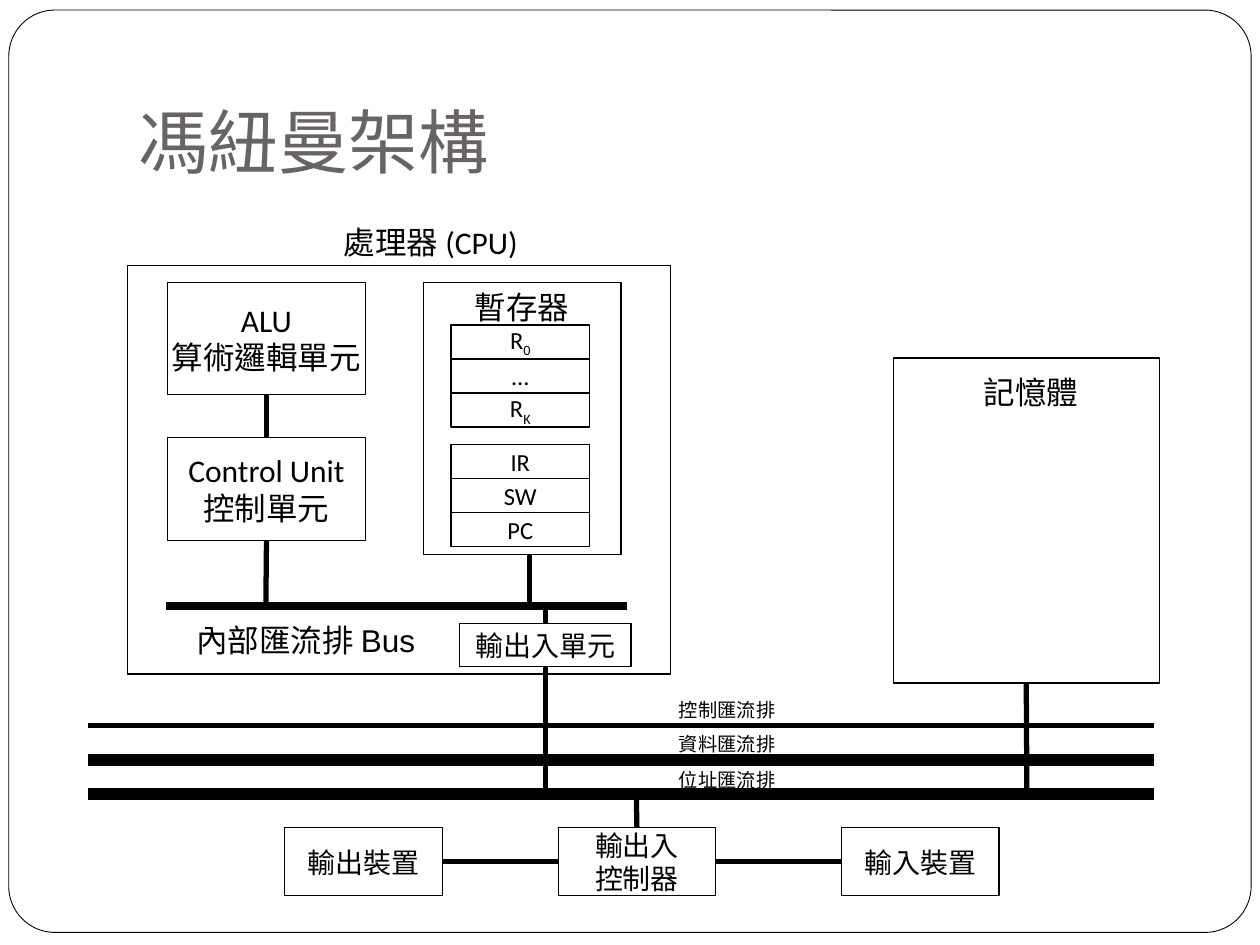
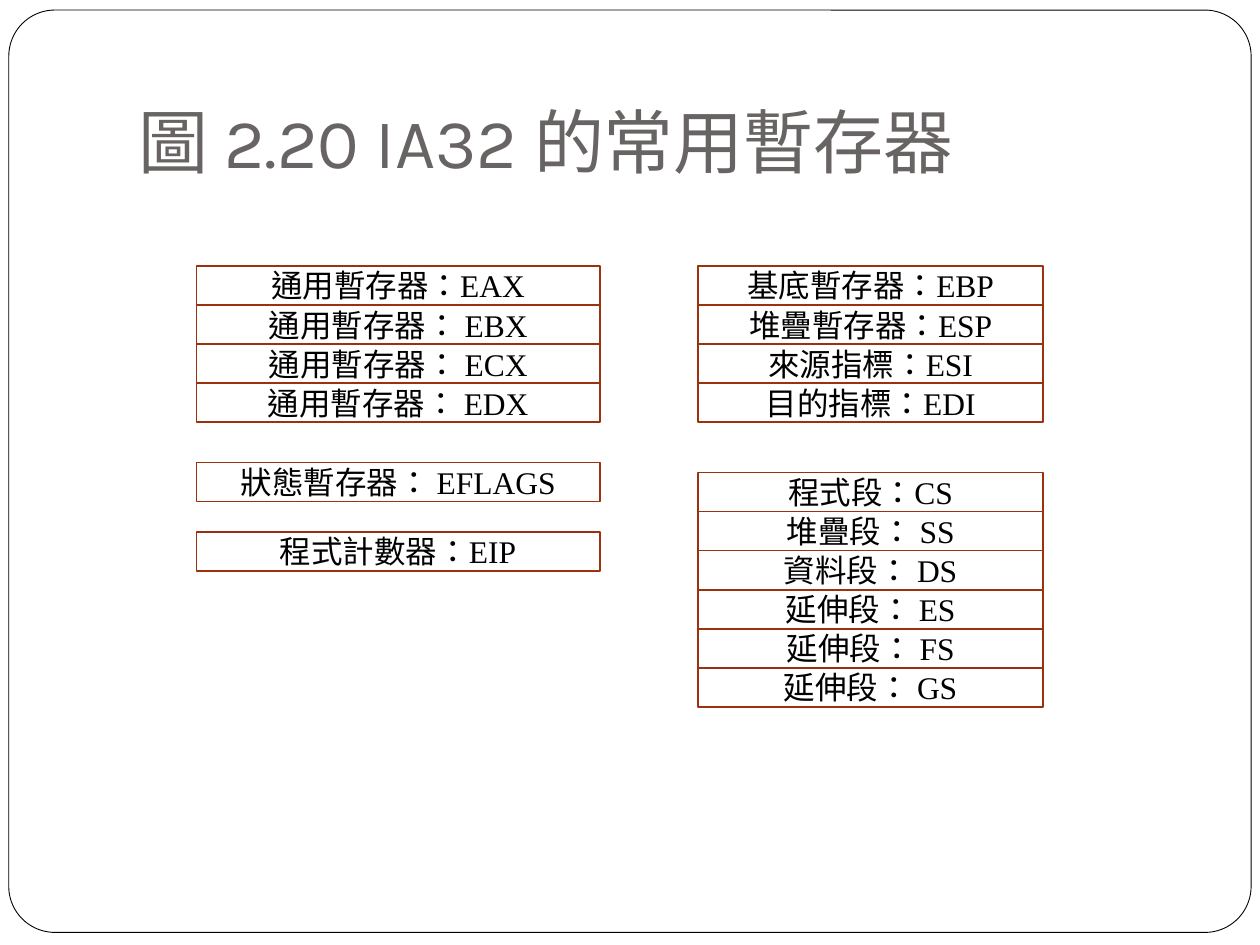
from lxml.etree import SubElement
from pptx import Presentation
from pptx.dml.color import RGBColor
from pptx.enum.shapes import MSO_CONNECTOR, MSO_SHAPE
from pptx.enum.text import MSO_ANCHOR, MSO_AUTO_SIZE, PP_ALIGN
from pptx.oxml.ns import qn
from pptx.util import Inches, Pt

BLACK = "000000"
TITLE_GRAY = "696464"
RUST = "9B320E"
TOP, LEFT, BOTTOM, RIGHT = range(4)


def color(hex_string):
    return RGBColor.from_string(hex_string)


def write_text(frame, text, size=18, font="Calibri", fill=BLACK,
               align=PP_ALIGN.LEFT, anchor=MSO_ANCHOR.TOP, wrap=False,
               auto_size=MSO_AUTO_SIZE.NONE, bottom=0.05):
    """Write one paragraph a line; what follows an underscore is a subscript."""
    frame.word_wrap = wrap
    frame.auto_size = auto_size
    frame.vertical_anchor = anchor
    frame.margin_left = frame.margin_right = Inches(0.1)
    frame.margin_top, frame.margin_bottom = Inches(0.05), Inches(bottom)
    for number, line in enumerate(text.split("\n")):
        paragraph = frame.add_paragraph() if number else frame.paragraphs[0]
        paragraph.alignment = align
        for level, part in enumerate(line.split("_")):
            run = paragraph.add_run()
            run.text = part
            run.font.size = Pt(size)
            run.font.name = font
            run.font.color.rgb = color(fill)
            properties = run._r.get_or_add_rPr()
            properties.set("lang", "zh-TW")
            if level:
                properties.set("baseline", "-25000")


class Deck:
    def __init__(self):
        self.presentation = Presentation()
        self.presentation.slide_width = Inches(10)
        self.presentation.slide_height = Inches(7.5)
        self.slide = None

    def add_slide(self, title):
        layout = self.presentation.slide_layouts[5]
        self.slide = self.presentation.slides.add_slide(layout)
        # Rounded page frame
        frame = self.box(0.07, 0.08, 9.86, 7.32, line_width=0.5,
                         kind=MSO_SHAPE.ROUNDED_RECTANGLE)
        frame.adjustments[0] = 0.05
        # Title
        placeholder = self.slide.shapes.title
        placeholder.left, placeholder.top = Inches(1), Inches(0.3)
        placeholder.width, placeholder.height = Inches(8.5), Inches(1.25)
        write_text(placeholder.text_frame, title, size=40, font="Karla",
                   fill=TITLE_GRAY, anchor=MSO_ANCHOR.BOTTOM, wrap=True, bottom=0.1)

    def box(self, left, top, width, height, text="", line_color=BLACK,
            line_width=0.75, kind=MSO_SHAPE.RECTANGLE,
            anchor=MSO_ANCHOR.MIDDLE, **text_format):
        shape = self.slide.shapes.add_shape(
            kind, Inches(left), Inches(top), Inches(width), Inches(height))
        shape.shadow.inherit = False
        shape.fill.background()
        shape.line.color.rgb = color(line_color)
        shape.line.width = Pt(line_width)
        if text:
            write_text(shape.text_frame, text, align=PP_ALIGN.CENTER,
                       anchor=anchor, **text_format)
        return shape

    def stack(self, left, top, width, height, labels, **box_format):
        for row, label in enumerate(labels):
            self.box(left, top + row * height, width, height, label, **box_format)

    def label(self, left, top, width, height, text, **text_format):
        shape = self.slide.shapes.add_textbox(
            Inches(left), Inches(top), Inches(width), Inches(height))
        write_text(shape.text_frame, text, **text_format)

    def line(self, x1, y1, x2, y2, width=3, begin=None, end=None):
        """Draw a line; begin and end are (shape, side) pairs to join."""
        connector = self.slide.shapes.add_connector(
            MSO_CONNECTOR.STRAIGHT, Inches(x1), Inches(y1), Inches(x2), Inches(y2))
        connector.line.color.rgb = color(BLACK)
        connector.line.width = Pt(width)
        SubElement(connector._element.spPr, qn("a:effectLst"))
        if begin:
            connector.begin_connect(*begin)
        if end:
            connector.end_connect(*end)


def build_architecture(deck):
    deck.add_slide("馮紐曼架構")

    # Memory
    memory = deck.box(7.09, 2.84, 2.11, 2.58)
    deck.label(7.71, 2.91, 1, 0.4, "記憶體")

    # System buses
    for y, width, label_top, name in [(5.76, 3, 5.49, "控制匯流排"),
                                      (6.03, 7, 5.76, "資料匯流排"),
                                      (6.3, 7, 6.05, "位址匯流排")]:
        deck.line(0.7, y, 9.16, y, width)
        deck.label(5.29, label_top, 1, 0.29, name, size=11)
    deck.line(8.15, 5.42, 8.15, 6.3, begin=(memory, BOTTOM))

    # Input and output devices
    output_device, controller, input_device = [
        deck.box(left, 6.57, 1.25, 0.54, name, size=16)
        for left, name in [(2.26, "輸出裝置"), (4.43, "輸出入\n控制器"),
                           (6.68, "輸入裝置")]]
    deck.line(5.05, 6.3, 5.05, 6.57, end=(controller, TOP))
    deck.line(6.68, 6.84, 5.68, 6.84, begin=(input_device, LEFT),
              end=(controller, RIGHT))
    deck.line(4.43, 6.84, 3.51, 6.84, begin=(controller, LEFT),
              end=(output_device, RIGHT))

    # Processor
    deck.box(1.01, 2.11, 4.31, 3.24)
    deck.label(2.63, 1.72, 1.7, 0.4, "處理器 (CPU)")
    alu = deck.box(1.33, 2.24, 1.57, 0.89, "ALU\n算術邏輯單元")
    control_unit = deck.box(1.33, 3.47, 1.57, 0.82, "Control Unit\n控制單元")

    # Registers
    deck.box(3.36, 2.24, 1.57, 2.16, "暫存器", anchor=MSO_ANCHOR.TOP)
    deck.stack(3.58, 2.58, 1.1, 0.27, ["R_0", "…", "R_K"], size=14)
    deck.stack(3.58, 3.53, 1.1, 0.27, ["IR", "SW", "PC"], size=14)

    # Internal bus and its links
    deck.line(1.32, 4.81, 4.98, 4.81, 5)
    deck.label(1.46, 4.88, 2.05, 0.4, "內部匯流排 Bus", font="Arial")
    io_unit = deck.box(3.65, 4.95, 1.36, 0.34, "輸出入單元", size=16)
    deck.line(2.11, 3.13, 2.11, 3.47, begin=(alu, BOTTOM), end=(control_unit, TOP))
    deck.line(2.11, 4.29, 2.11, 4.81, begin=(control_unit, BOTTOM))
    deck.line(4.2, 4.4, 4.2, 4.81)
    deck.line(4.33, 4.81, 4.33, 4.95, end=(io_unit, TOP))
    deck.line(4.33, 5.29, 4.33, 6.3, begin=(io_unit, BOTTOM))


def build_registers(deck):
    deck.add_slide("圖 2.20 IA32 的常用暫存器")
    left_column, right_column = (1.56, 3.2), (5.54, 2.74)
    groups = [
        (left_column, 2.11, ["通用暫存器：EAX", "通用暫存器： EBX",
                             "通用暫存器： ECX", "通用暫存器： EDX"]),
        (left_column, 3.67, ["狀態暫存器： EFLAGS"]),
        (left_column, 4.22, ["程式計數器：EIP"]),
        (right_column, 2.11, ["基底暫存器：EBP", "堆疊暫存器：ESP",
                              "來源指標：ESI", "目的指標：EDI"]),
        (right_column, 3.75, ["程式段：CS", "堆疊段： SS", "資料段： DS",
                              "延伸段： ES", "延伸段： FS", "延伸段： GS"]),
    ]
    for (left, width), top, names in groups:
        deck.stack(left, top, width, 0.31, names, line_color=RUST,
                   line_width=1, font="Times New Roman", wrap=True)


def main():
    deck = Deck()
    build_architecture(deck)
    build_registers(deck)
    deck.presentation.save("out.pptx")


if __name__ == "__main__":
    main()
